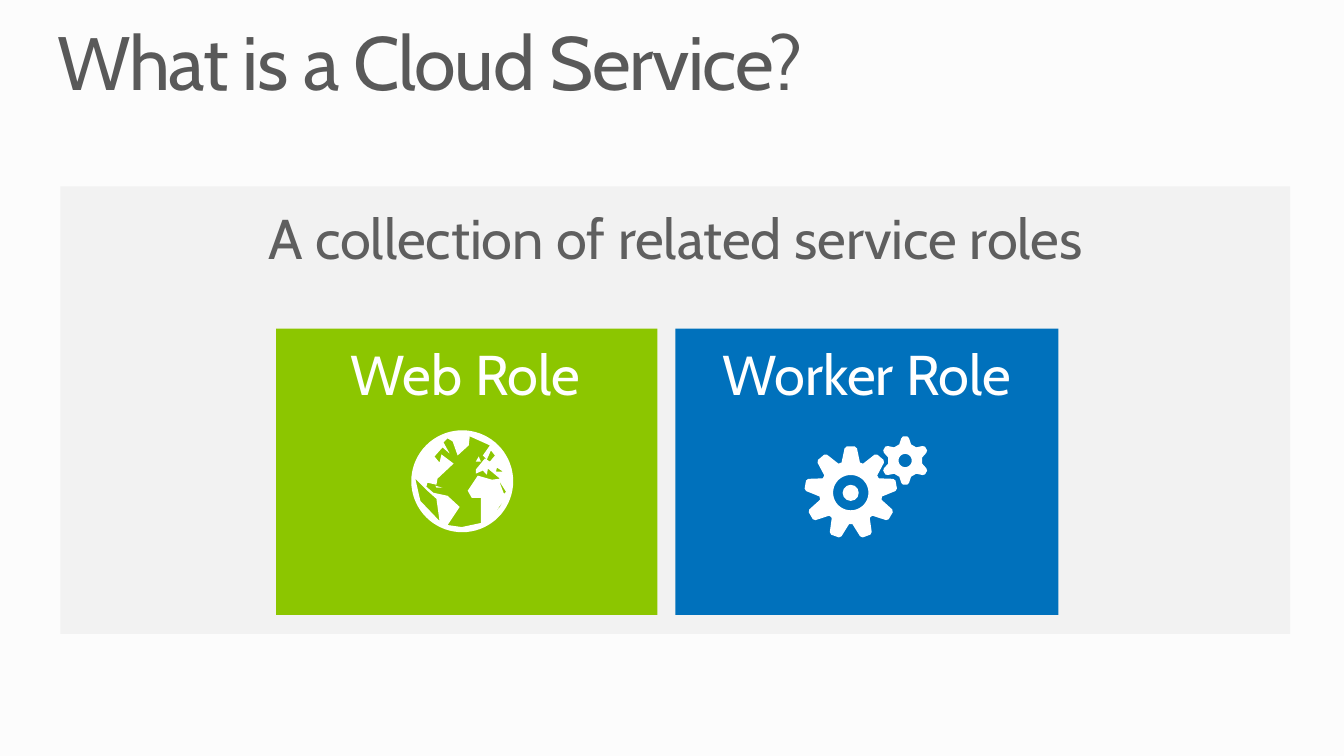
from math import cos, pi, radians, sin
from pptx import Presentation
from pptx.dml.color import RGBColor
from pptx.enum.shapes import MSO_SHAPE
from pptx.enum.text import MSO_ANCHOR, PP_ALIGN
from pptx.util import Pt

THEME = {
    "font": "Cabin",
    "title_size": 54,
    "body_size": 40,
    "background": "FCFCFC",
    "panel": "F2F2F2",
    "title": "595959",
    "body": "5F5F5F",
    "web": "8CC600",
    "worker": "0071BC",
    "white": "FFFFFF",
}

TITLE = ("What is a Cloud Service?", (41, 18, 877.7, 59))
HEADING = ("A collection of related service roles", (43.2, 145.4, 878.4, 48.2))
PANEL = (43.2, 133.2, 878.4, 319.7)
ROLES = [
    ("Web Role", "web", (197.3, 234.7, 272.2, 204.5), 195.8),
    ("Worker Role", "worker", (482.4, 234.7, 273.6, 204.5), 482.4),
]
ROLE_LABEL_TOP, ROLE_LABEL_WIDTH, ROLE_LABEL_HEIGHT = 247.7, 273.6, 43.9

GLOBE_ORIGIN = (293.8, 307.4)
GLOBE_UNIT = 0.72
GLOBE_RADIUS = 36.4
ATLANTIC = [
    (69, 92), (69, 67), (60, 67), (56, 60), (66, 45), (80, 49), (88, 48),
    (76, 38), (75, 44), (71, 40), (64, 43), (64, 39), (73, 28), (78, 31),
    (83, 25), (79, 20), (75, 29), (71, 25), (78, 15), (58, 6), (57, 15),
    (46, 25), (41, 11), (36, 8), (32, 12), (38, 23), (31, 17), (23, 26),
    (28, 32), (30, 24), (42, 33), (26, 48), (25, 54), (16, 52), (15, 56),
    (22, 62), (36, 65), (48, 76), (36, 94), (50, 96),
]
PACIFIC = [(28, 90), (25, 68), (16, 60), (4, 48), (9, 70)]
INDIAN_OCEAN = [(92, 69), (83, 82), (88, 76)]
RED_SEA = [(94, 61), (87, 50), (92, 63)]
CASPIAN_SEA = [(84, 41), (85, 37), (91, 41)]
BRITAIN = [(67, 26), (69, 31), (64, 31)]
CUBA = [(24, 55), (31, 57), (25, 57)]
GLOBE_PARTS = [ATLANTIC, PACIFIC, INDIAN_OCEAN, RED_SEA, CASPIAN_SEA, BRITAIN, CUBA]

GEARS = [
    ((607.7, 351.9), 9, 12.6, [(17, 22.5), (8, 31.9), (5, 33.1)]),
    ((646.6, 329), 6, 4.7, [(20, 12.3), (10, 16.1), (5, 17.3)]),
]
HUB = (601.9, 346.3, 11.5, 11.5)


def rgb(name):
    return RGBColor.from_string(THEME[name])


def paint(sp, color):
    sp.fill.solid()
    sp.fill.fore_color.rgb = rgb(color)
    sp.line.fill.background()
    sp.shadow.inherit = False


def add_block(s, kind, box, color):
    paint(s.shapes.add_shape(kind, *map(Pt, box)), color)


def add_text(s, text, box, size, color, align=PP_ALIGN.CENTER, leading=1.0, tracking=0):
    tf = s.shapes.add_textbox(*map(Pt, box)).text_frame
    tf.word_wrap = True
    tf.vertical_anchor = MSO_ANCHOR.TOP
    tf.margin_left = tf.margin_top = tf.margin_right = tf.margin_bottom = 0
    p = tf.paragraphs[0]
    p.text = text
    p.alignment = align
    p.line_spacing = leading
    r = p.runs[0]
    r.font.name = THEME["font"]
    r.font.size = Pt(THEME[size])
    r.font.color.rgb = rgb(color)
    if tracking:
        r._r.get_or_add_rPr().set("spc", str(tracking * 100))


def circle(center, radius, steps=72):
    x, y = center
    return [(x + radius * cos(2 * pi * i / steps), y + radius * sin(2 * pi * i / steps))
            for i in range(steps)]


def gear_outline(center, teeth, flank):
    x, y = center
    profile = [(-angle, radius) for angle, radius in flank] + flank[::-1]
    return [(x + radius * sin(radians(tooth * 360 / teeth + angle)),
             y - radius * cos(radians(tooth * 360 / teeth + angle)))
            for tooth in range(teeth) for angle, radius in profile]


def add_outline(s, contours, color):
    first, *rest = [[(Pt(x), Pt(y)) for x, y in contour] for contour in contours]
    builder = s.shapes.build_freeform(*first[0])
    builder.add_line_segments(first[1:], close=True)
    for contour in rest:
        builder.move_to(*contour[0])
        builder.add_line_segments(contour[1:], close=True)
    paint(builder.convert_to_shape(), color)


def main():
    prs = Presentation()
    prs.slide_width, prs.slide_height = Pt(960), Pt(540)
    s = prs.slides.add_slide(prs.slide_layouts[6])
    s.background.fill.solid()
    s.background.fill.fore_color.rgb = rgb("background")

    add_block(s, MSO_SHAPE.RECTANGLE, PANEL, "panel")
    add_text(s, *TITLE, "title_size", "title", PP_ALIGN.LEFT, 0.9, -1)
    add_text(s, *HEADING, "body_size", "body")
    for label, color, box, label_left in ROLES:
        add_block(s, MSO_SHAPE.RECTANGLE, box, color)
        label_box = (label_left, ROLE_LABEL_TOP, ROLE_LABEL_WIDTH, ROLE_LABEL_HEIGHT)
        add_text(s, label, label_box, "body_size", "white", leading=0.9)

    left, top = GLOBE_ORIGIN
    rim = circle((left + GLOBE_RADIUS, top + GLOBE_RADIUS), GLOBE_RADIUS)
    parts = [[(left + x * GLOBE_UNIT, top + y * GLOBE_UNIT) for x, y in part]
             for part in GLOBE_PARTS]
    add_outline(s, [rim, *parts], "white")

    for center, teeth, hole, flank in GEARS:
        add_outline(s, [gear_outline(center, teeth, flank), circle(center, hole)], "white")
    add_block(s, MSO_SHAPE.OVAL, HUB, "white")
    prs.save("out.pptx")


if __name__ == "__main__":
    main()
